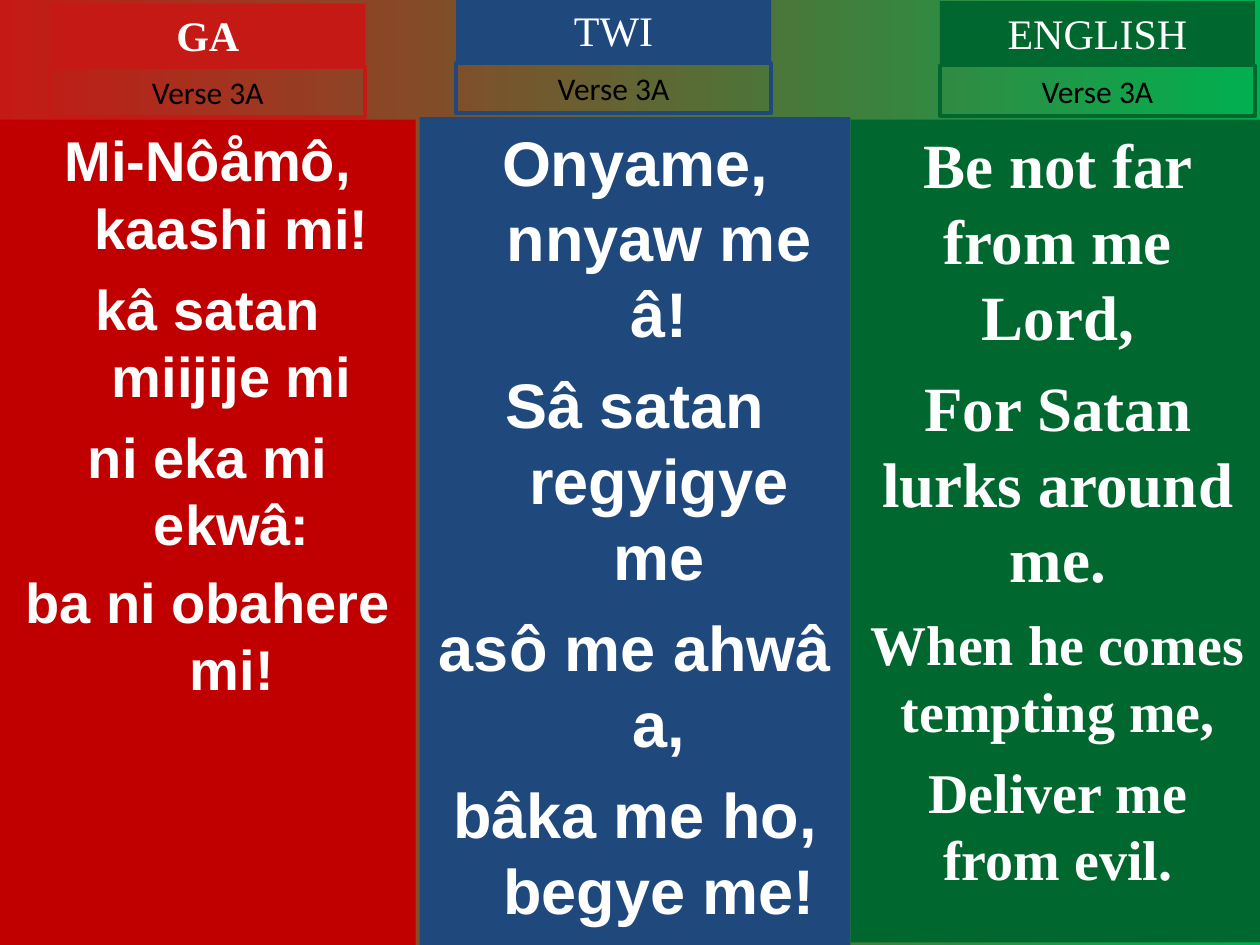
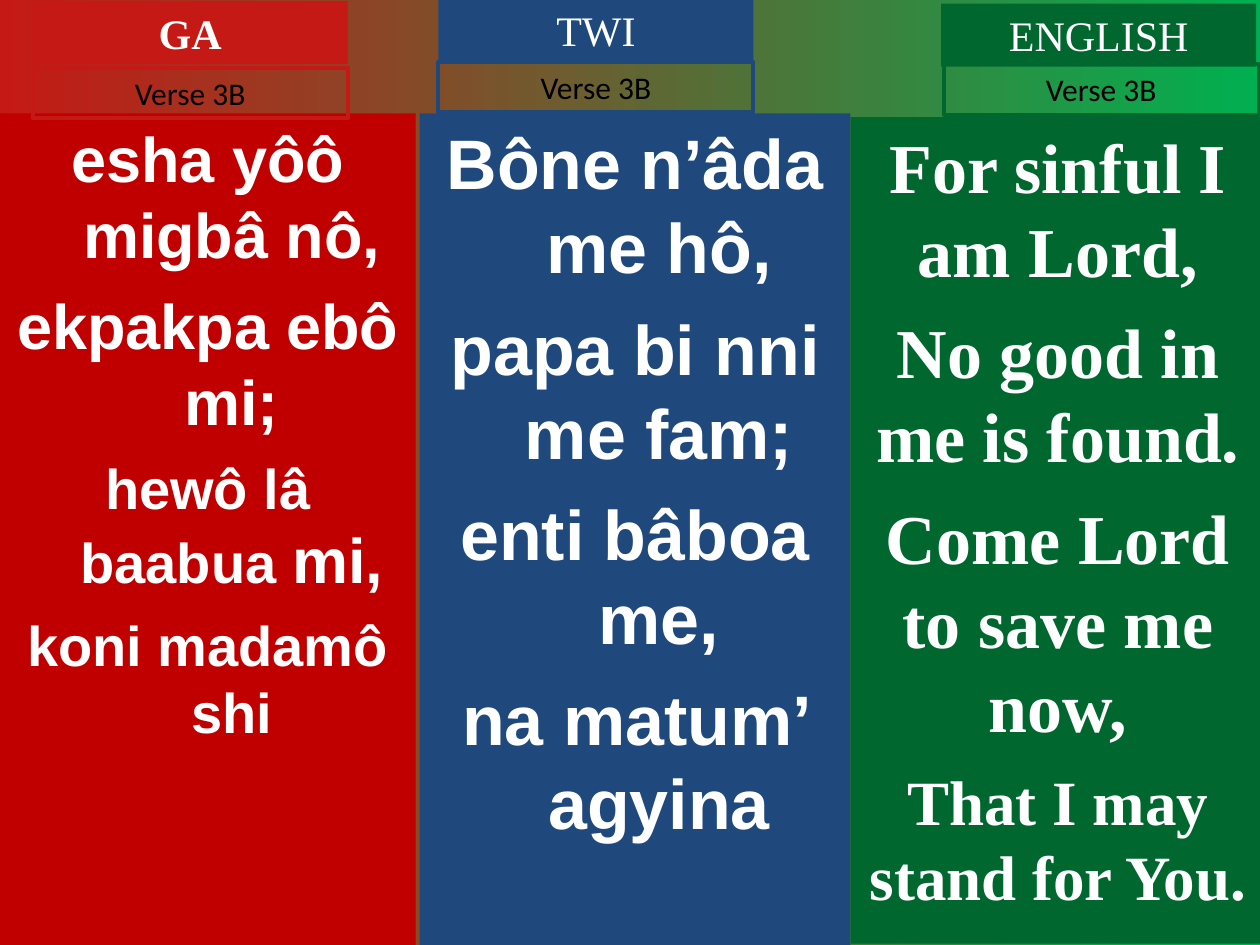
from dataclasses import dataclass

from pptx import Presentation
from pptx.dml.color import RGBColor
from pptx.enum.shapes import MSO_SHAPE as SHAPE
from pptx.enum.text import MSO_ANCHOR as ANCHOR, PP_ALIGN as ALIGN
from pptx.util import Inches, Pt


@dataclass(frozen=True)
class Theme:
    red: str = "C51915"
    deep_red: str = "C00000"
    blue: str = "1F497D"
    green: str = "00682F"
    light_green: str = "00B050"
    white: str = "FFFFFF"
    black: str = "000000"
    sans: str = "Arial"
    serif: str = "Times New Roman"
    label: str = "Calibri"
    head_size: int = 24
    label_size: int = 18
    border: float = 2.25


T = Theme()
HEAD_W, HEAD_H, VERSE_H = 2.5, 0.5, 0.4

COLUMNS = [
    dict(name="GA", left=0, width=3.3, head=T.red, body=T.deep_red,
         font=T.sans, hang=0.38, bold=True),
    dict(name="TWI", left=3.33, width=3.42, head=T.blue, body=T.blue,
         font=T.sans, hang=0.38, bold=False),
    dict(name="ENGLISH", left=6.75, width=3.29, head=T.green, body=T.green,
         font=T.serif, hang=0, bold=False),
]

VERSES = [
    ("Verse 3A", [
        dict(top=0.95, height=6.55, head=(0.4, 0.03), verse=(0.4, 0.53), lines=[
            (8, [("Mi-Nôåmô, kaashi mi!", 32)]),
            (8, [("kâ satan miijije mi", 32)]),
            (8, [("ni eka mi ekwâ:", 32)]),
            (6, [("ba ni obahere mi!", 32)]),
        ]),
        dict(top=0.93, height=6.57, head=(3.62, -0.01), verse=(3.62, 0.5), lines=[
            (9, [("Onyame, nnyaw me â!", 36)]),
            (9, [("Sâ satan regyigye me", 36)]),
            (9, [("asô me ahwâ a,", 36)]),
            (9, [("bâka me ho, begye me!", 36)]),
        ]),
        dict(top=0.95, height=6.53, head=(7.46, 0.01), verse=(7.46, 0.52), lines=[
            (9, [("Be not far from me Lord,", 36)]),
            (9, [("For Satan lurks around me.", 36)]),
            (8, [("When he comes tempting me,", 32)]),
            (8, [("Deliver me from evil.", 32)]),
        ]),
    ]),
    ("Verse 3B", [
        dict(top=0.9, height=6.6, head=(0.26, 0.01), verse=(0.26, 0.54), lines=[
            (9, [("esha yôô migbâ nô,", 36)]),
            (9, [("ekpakpa ebô mi;", 36)]),
            (9, [("hewô lâ baabua ", 32), ("mi,", 36)]),
            (8, [("koni madamô shi", 32)]),
        ]),
        dict(top=0.9, height=6.6, head=(3.48, -0.01), verse=(3.48, 0.49), lines=[
            (10, [("Bône n’âda me hô,", 40)]),
            (10, [("papa bi nni me fam;", 40)]),
            (10, [("enti bâboa me,", 40)]),
            (10, [("na matum’ agyina", 40)]),
        ]),
        dict(top=0.93, height=6.56, head=(7.47, 0.03), verse=(7.49, 0.51), lines=[
            (10, [("For sinful I am Lord,", 40)]),
            (10, [("No good in me is found.", 40)]),
            (10, [("Come Lord to save me now,", 40)]),
            (9, [("That I may stand for You.", 36)]),
        ]),
    ]),
]


def add_box(s, left, top, width, height, fill=None, line=None):
    sp = s.shapes.add_shape(SHAPE.RECTANGLE, Inches(left), Inches(top),
                            Inches(width), Inches(height))
    sp.shadow.inherit = False
    if fill:
        sp.fill.solid()
        sp.fill.fore_color.rgb = RGBColor.from_string(fill)
    else:
        sp.fill.background()
    if line:
        sp.line.color.rgb = RGBColor.from_string(line)
        sp.line.width = Pt(T.border)
    else:
        sp.line.fill.background()
    return sp


def add_text(sp, lines, font, color, bold=False, hang=0):
    tf = sp.text_frame
    tf.word_wrap = True
    tf.vertical_anchor = ANCHOR.TOP
    for i, (gap, runs) in enumerate(lines):
        p = tf.add_paragraph() if i else tf.paragraphs[0]
        p.alignment = ALIGN.CENTER
        if i:
            p.space_before = Pt(gap)
        if hang:
            pPr = p._p.get_or_add_pPr()
            pPr.set("marL", str(Inches(hang)))
            pPr.set("indent", str(-Inches(hang)))
        for text, size in runs:
            r = p.add_run()
            r.text = text
            r.font.name = font
            r.font.size = Pt(size)
            r.font.bold = bold
            r.font.color.rgb = RGBColor.from_string(color)


prs = Presentation()
prs.slide_width, prs.slide_height = Inches(10), Inches(7.5)

for verse, parts in VERSES:
    s = prs.slides.add_slide(prs.slide_layouts[6])
    bg = s.background.fill
    bg.gradient()
    bg.gradient_angle = 0
    for stop, position, color in zip(bg.gradient_stops, (0, 1), (T.red, T.light_green)):
        stop.position = position
        stop.color.rgb = RGBColor.from_string(color)

    for col, part in zip(COLUMNS, parts):
        sp = add_box(s, col["left"], part["top"], col["width"], part["height"],
                     fill=col["body"])
        add_text(sp, part["lines"], col["font"], T.white, True, col["hang"])

        sp = add_box(s, *part["head"], HEAD_W, HEAD_H, fill=col["head"])
        add_text(sp, [(0, [(col["name"], T.head_size)])], T.serif, T.white, col["bold"])

        sp = add_box(s, *part["verse"], HEAD_W, VERSE_H, line=col["head"])
        add_text(sp, [(0, [(verse, T.label_size)])], T.label, T.black)

prs.save("out.pptx")
